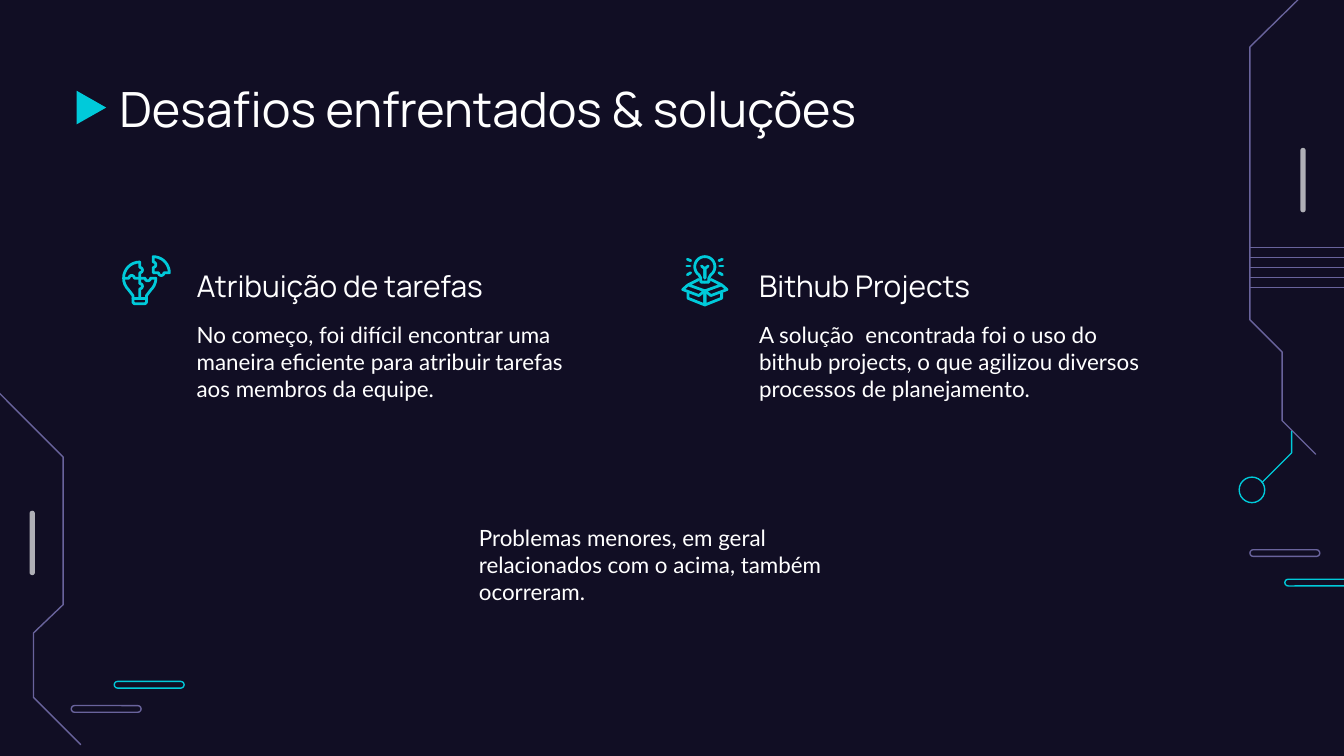
from collections import namedtuple
from math import cos, radians, sin

from lxml import etree
from pptx import Presentation
from pptx.dml.color import RGBColor
from pptx.enum.shapes import MSO_CONNECTOR, MSO_SHAPE
from pptx.enum.text import MSO_ANCHOR
from pptx.oxml.ns import qn
from pptx.util import Inches, Pt

STRAIGHT = MSO_CONNECTOR.STRAIGHT
PILL, OVAL = MSO_SHAPE.ROUNDED_RECTANGLE, MSO_SHAPE.OVAL
MERGE = MSO_SHAPE.FLOWCHART_MERGE
TOP, BOTTOM = MSO_ANCHOR.TOP, MSO_ANCHOR.BOTTOM

# Boxes and points are in grid cells: 100 columns by 56.25 rows
COLS, ROWS = 100, 56.25
CELL = 0.1
Box = namedtuple("Box", "x y w h")

THEME = {
    "back": RGBColor(0x11, 0x0E, 0x24),
    "cyan": RGBColor(0x00, 0xCA, 0xDA),
    "violet": RGBColor(0x69, 0x63, 0x9C),
    "grey": RGBColor(0xAF, 0xAF, 0xB6),
    "thin": 0.75,
    "icon": 1.5,
    "title": {"name": "Manrope", "size": Pt(26)},
    "heading": {"name": "Manrope", "size": Pt(16)},
    "body": {"name": "Lato", "size": Pt(12)},
    "text": RGBColor(0xFF, 0xFF, 0xFF),
}


def cells(n):
    return Inches(n * CELL)


def arc(cx, cy, r, start, end, steps=12):
    """Points on a circle, angles in degrees clockwise from the right."""
    angles = [radians(start + (end - start) * i / steps) for i in range(steps + 1)]
    return [(cx + r * cos(a), cy + r * sin(a)) for a in angles]


def mirror(strokes, width):
    return [[(width - x, y) for x, y in stroke] for stroke in strokes]


def set_line(shape, color, width):
    shape.line.color.rgb = THEME[color]
    shape.line.width = Pt(width)


# Basic parts
def add_shape(s, kind, box, fill=None, line=None):
    shape = s.shapes.add_shape(kind, *map(cells, box))
    shape.shadow.inherit = False
    if kind == PILL:
        shape.adjustments[0] = 0.5
    if fill:
        shape.fill.solid()
        shape.fill.fore_color.rgb = THEME[fill]
        shape.line.fill.background()
    else:
        shape.fill.background()
        set_line(shape, line, THEME["thin"])
    return shape


def add_strokes(s, box, strokes, color, width, unit=1.0):
    def place(point):
        return cells(box.x + point[0] * unit), cells(box.y + point[1] * unit)

    builder = s.shapes.build_freeform(*place(strokes[0][0]))
    for i, stroke in enumerate(strokes):
        if i:
            builder.move_to(*place(stroke[0]))
        builder.add_line_segments([place(p) for p in stroke[1:]], close=False)
    shape = builder.convert_to_shape()
    shape.shadow.inherit = False
    shape.fill.background()
    set_line(shape, color, width)
    shape._element.spPr.find(qn("a:ln")).set("cap", "rnd")


def add_text(s, box, text, style, anchor=TOP):
    tf = s.shapes.add_textbox(*map(cells, box)).text_frame
    tf.word_wrap = True
    tf.vertical_anchor = anchor
    for side in ("left", "right", "top", "bottom"):
        setattr(tf, f"margin_{side}", cells(1))
    r = tf.paragraphs[0].add_run()
    r.text = text
    for key, value in THEME[style].items():
        setattr(r.font, key, value)
    r.font.color.rgb = THEME["text"]


# Icons, in tenths of a cell
def puzzle_bulb():
    centre = (13, 17)
    return [
        arc(13, 17, 12, 270, 135) + [(8, 30), (8, 35), (9, 36), (17, 36),
                                     (18, 35), (18, 30)] + arc(13, 17, 12, 45, 0),
        [(13, 5), (13, 9)] + arc(13, 11, 2, -90, 90) + [centre],
        [(1, 17), (5, 17)] + arc(7, 17, 2, 180, 360) + [centre],
        [centre, (13, 21)] + arc(13, 23, 2, -90, 90) + [(13, 32)],
        [centre, (17, 17)] + arc(19, 17, 2, 180, 0) + [(25, 17)],
        [(8, 32), (18, 32)],
        arc(23, 13, 12, 270, 360) + [(31, 13)] + arc(29, 13, 2, 0, 180)
        + [(23, 13), (23, 9)] + arc(23, 7, 2, 90, -90) + [(23, 1)],
    ]


def idea_box():
    half = [
        [(22, 18), (30, 22), (17.5, 26.5), (22, 30), (34, 25.5), (30, 22)],
        [(30, 28), (30, 32), (17.5, 37), (17.5, 26.5)],
        [(28.5, 8), (31, 8)],
        [(28, 4), (30.5, 3)],
        [(28, 13), (30.5, 14.5)],
        [(17.5, 17), (17.5, 10), (20, 8)],
        arc(17.5, 8.5, 7.5, -90, 55) + [(20.5, 17), (20.5, 20), (17.5, 20)],
    ]
    return half + mirror(half, 35)


# Regions
def title_region(s, box, text):
    marker = add_shape(s, MERGE, Box(box.x - 2.35, box.y + 2, 2.5, 2.2), fill="cyan")
    marker.rotation = 270
    add_text(s, box, text, "title")


def topic_region(s, box, icon, heading, body):
    text_w = 30.7
    text_x = box.x + box.w - text_w
    add_strokes(s, Box(box.x, box.y + 1.1, 3.5, 3.8), icon, "cyan", THEME["icon"], 0.1)
    add_text(s, Box(text_x, box.y, text_w, 5.65), heading, "heading", BOTTOM)
    add_text(s, Box(text_x, box.y + 5, text_w, box.h - 5), body, "body")


def pill_pair(s, violet, cyan):
    for color, (x, y) in (("violet", violet), ("cyan", cyan)):
        add_shape(s, PILL, Box(x, y, 5.2, 0.5), line=color)


def right_circuit(s, box):
    x, y = box.x, box.y
    rail = [(5.4, -1.8), (0, 3.5), (0, 23.8), (2.4, 26.2), (2.4, 31.3), (4.9, 33.8)]
    add_strokes(s, box, [rail], "violet", THEME["thin"])
    # Parallel tracks
    for i in range(5):
        row = cells(y + 18.4 + 0.75 * i)
        track = s.shapes.add_connector(STRAIGHT, cells(x), row, cells(x + 10.6), row)
        set_line(track, "violet", THEME["thin"])
        etree.SubElement(track._element.spPr, qn("a:effectLst"))
    # Node and its lead
    add_strokes(s, box, [[(0.9, 35.9), (3.1, 33.7), (3.1, 32.1)]], "cyan", THEME["thin"])
    add_shape(s, OVAL, Box(x - 0.8, y + 35.5, 1.9, 1.9), line="cyan")
    add_shape(s, PILL, Box(x + 3.75, y + 11, 0.4, 4.8), fill="grey")
    pill_pair(s, (x, y + 40.9), (x + 2.6, y + 43.1))


def left_circuit(s, box):
    x, y = box.x, box.y
    rail = [(-0.3, 0), (4.7, 5), (4.7, 16), (2.5, 18.1), (2.5, 22.9), (6, 26.4)]
    add_strokes(s, box, [rail], "violet", THEME["thin"])
    add_shape(s, PILL, Box(x + 2.2, y + 9, 0.4, 4.8), fill="grey")
    pill_pair(s, (x + 5.3, y + 23.5), (x + 8.5, y + 21.7))


def main():
    prs = Presentation()
    prs.slide_width, prs.slide_height = cells(COLS), cells(ROWS)
    s = prs.slides.add_slide(prs.slide_layouts[6])
    s.background.fill.solid()
    s.background.fill.fore_color.rgb = THEME["back"]

    right_circuit(s, Box(93, 0, 7, ROWS))
    left_circuit(s, Box(0, 29, 14, 27.2))
    title_region(s, Box(7.9, 4.9, 84.3, 6.3), "Desafios enfrentados & soluções")
    topic_region(s, Box(9.1, 17.9, 35.25, 15.4), puzzle_bulb(), "Atribuição de tarefas",
                 "No começo, foi difícil encontrar uma maneira eficiente para "
                 "atribuir tarefas aos membros da equipe.")
    topic_region(s, Box(50.7, 17.9, 35.5, 15.4), idea_box(), "Bithub Projects",
                 "A solução  encontrada foi o uso do bithub projects, o que "
                 "agilizou diversos processos de planejamento.")
    add_text(s, Box(34.65, 38, 30.7, 8.5),
             "Problemas menores, em geral relacionados com o acima, "
             "também ocorreram.", "body")
    prs.save("out.pptx")


if __name__ == "__main__":
    main()
